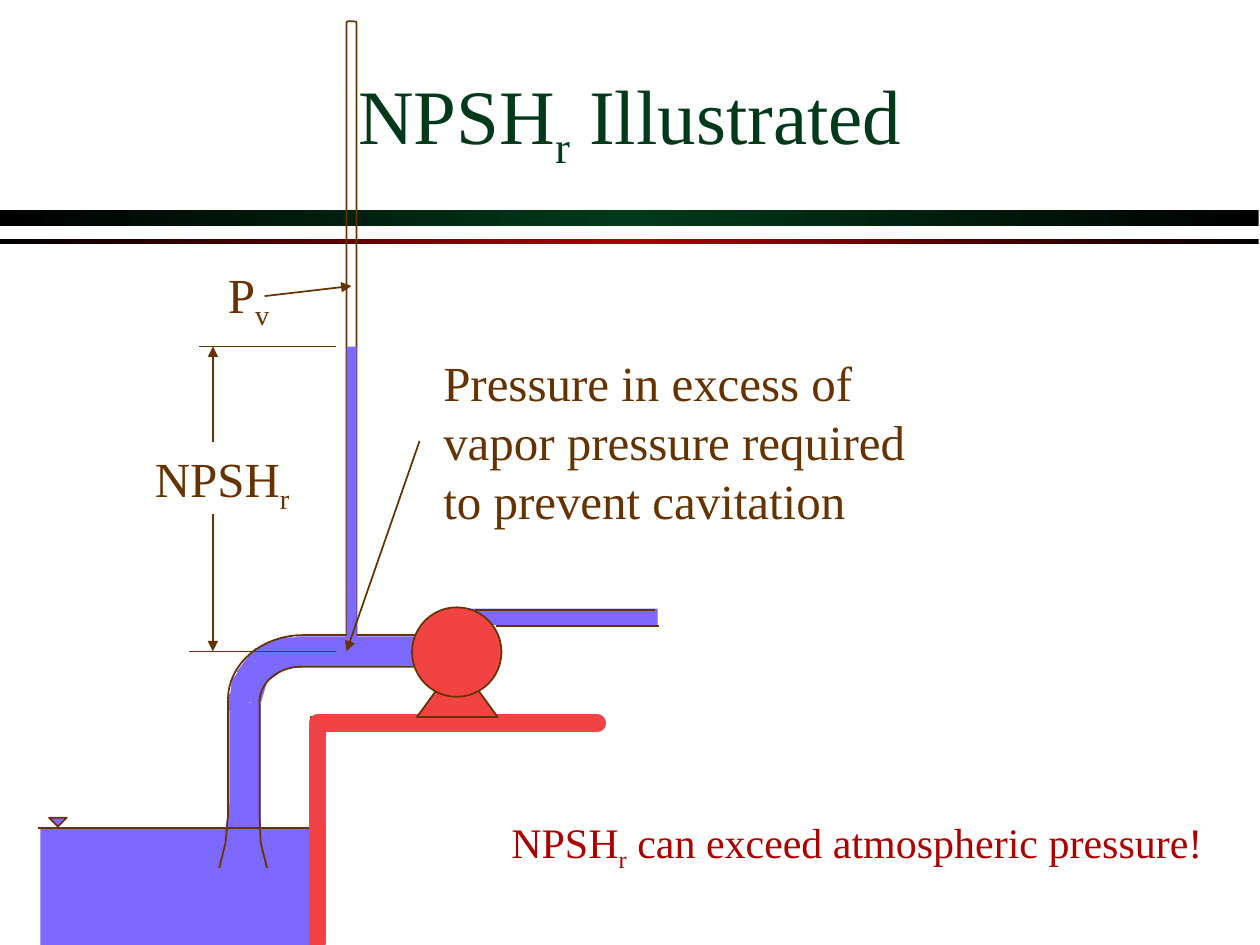
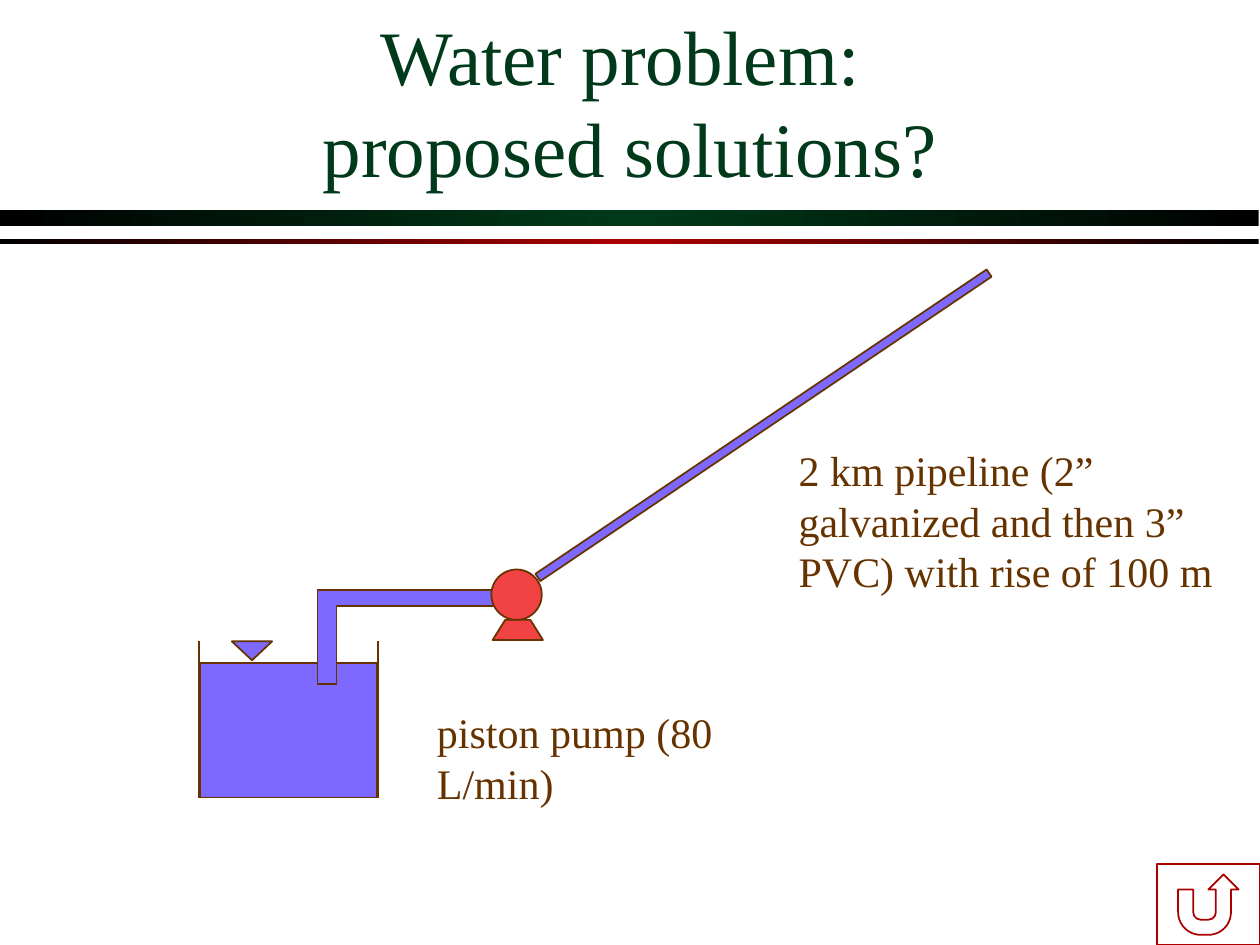
from dataclasses import dataclass
from math import cos, pi, sin

from lxml.etree import SubElement
from pptx import Presentation
from pptx.dml.color import RGBColor
from pptx.enum.shapes import MSO_CONNECTOR, MSO_SHAPE
from pptx.enum.text import MSO_ANCHOR, PP_ALIGN
from pptx.oxml.ns import qn
from pptx.util import Inches, Pt


@dataclass(frozen=True)
class Theme:
    font: str = "Times New Roman"
    black: str = "000000"
    white: str = "FFFFFF"
    green: str = "003A1A"
    red: str = "AC0000"
    brown: str = "663300"
    water: str = "7E69FF"
    pump: str = "F14343"
    title: int = 44
    label: int = 28
    note: int = 24
    thin: float = 1
    floor: float = 10


THEME = Theme()

# Shared content: boxes are left, top, width, height in inches
TITLE_BOX = (0.75, 0.33, 8.5, 1.25)
BANDS = [((0, 1.67, 9.99, 0.12), THEME.green), ((0, 1.9, 9.99, 0.04), THEME.red)]

# Suction diagram; text between tildes is subscript
NPSH_TITLE = "NPSH~r~ Illustrated"
VAPOR_TUBE = (2.75, 0.17, 0.08, 5)
WATER_COLUMN = (2.75, 2.75, 0.08, 2.42)
WATER_BOXES = [
    (1.81, 5.51, 0.16, 0.13),
    (0.32, 6.57, 2.16, 0.96),
    (1.82, 5.58, 0.25, 1),
    (2.35, 5.05, 0.99, 0.25),
    (3.69, 4.83, 1.53, 0.13),
]
WATER_PATCHES = [
    [(1.97, 5.24), (1.98, 5.34), (2.07, 5.58), (2.12, 5.41), (2.11, 5.1), (2.01, 5.16)],
    [(2.35, 5.06), (2.26, 5.06), (2.26, 5.32), (2.33, 5.3), (2.4, 5.28)],
    [(1.82, 6.38), (2.07, 6.57), (1.79, 6.57)],
    [(1.81, 5.57), (2.06, 5.58), (1.89, 5.33), (1.84, 5.4), (1.83, 5.49)],
    [(1.88, 5.33), (2.06, 5.58), (2.03, 5.14), (1.94, 5.25)],
    [(2.07, 5.13), (2.09, 5.43), (2.18, 5.37), (2.26, 5.31), (2.26, 5.05), (2.18, 5.08)],
]
INTAKE_WALLS = [
    [(2.12, 6.89), (2.07, 6.69), (2.06, 6.47), (2.06, 5.55)],
    [(1.74, 6.89), (1.79, 6.69), (1.81, 6.47), (1.81, 5.55)],
]
ELBOW_ARCS = [(2.4, 5.57, 0.34, 0.28), (2.41, 5.55, 0.6, 0.51)]  # centre, radii
FLOOR_EDGE = [(2.47, 7.51), (2.47, 5.69), (4.76, 5.69)]
FLOOR_SLAB = [(2.52, 7.48), (2.52, 5.74), (4.74, 5.74)]
SURFACE_LINE = ((0.3, 6.57), (2.5, 6.57))
PIPE_WALLS = [((2.4, 5.04), (3.41, 5.04)), ((2.38, 5.29), (3.4, 5.29))]
OUTLET_WALLS = [((3.77, 4.84), (5.2, 4.84)), ((3.94, 4.97), (5.23, 4.97))]
NPSH_LABELS = [
    ("P~v~", (1.71, 2.05, 0.55, 0.57), {"wrap": False}),
    ("Pressure in excess of vapor pressure required to prevent cavitation",
     (3.42, 2.75, 4.1, 1.5), {}),
    ("NPSH~r~", (1.13, 3.51, 1.29, 0.57), {"wrap": False, "fill": THEME.white}),
    ("NPSH~r~ can exceed atmospheric pressure!", (3.96, 6.43, 5.7, 0.5),
     {"wrap": False, "size": THEME.note, "color": THEME.red}),
]
# Start, end, arrowheads (head sits at the start, tail at the end)
NPSH_POINTERS = [
    ((3.33, 3.5), (2.75, 5.17), ("tail",)),
    ((2.67, 2.75), (1.58, 2.75), ()),
    ((2.67, 5.17), (1.5, 5.17), ()),
    ((1.69, 5.17), (1.69, 2.75), ("head", "tail")),
    ((2.1, 2.35), (2.79, 2.27), ("tail",)),
]

# Water supply diagram
WATER_TITLE = "Water problem: \nproposed solutions?"
TANK_WALLS = [
    ((1.58, 5.09), (1.58, 6.33)),
    ((1.59, 6.33), (2.99, 6.33)),
    ((3, 5.09), (3, 6.33)),
]
TANK_WATER = (1.59, 5.26, 1.4, 1.07)
RISING_PIPE = (3.9, 3.34, 4.32, 0.07)
SUCTION_PIPE = [(3.91, 4.68), (2.52, 4.68), (2.52, 5.43),
                (2.67, 5.43), (2.67, 4.81), (3.91, 4.81)]
WATER_LABELS = [
    ("piston pump (80 L/min)", (3.37, 5.56, 3, 0.9)),
    ("2 km pipeline (2” galvanized and then 3” PVC) with rise of 100 m",
     (6.24, 3.48, 3.56, 1.3)),
]
RETURN_BUTTON = (9.18, 6.86, 0.82, 0.64)


def color_of(value):
    return RGBColor.from_string(value)


def paint(shape, fill=None, line=None, width=THEME.thin):
    shape.shadow.inherit = False
    if fill:
        shape.fill.solid()
        shape.fill.fore_color.rgb = color_of(fill)
    else:
        shape.fill.background()
    if line:
        shape.line.color.rgb = color_of(line)
        shape.line.width = Pt(width)
    else:
        shape.line.fill.background()
    return shape


def add_preset(page, kind, box, **look):
    return paint(page.shapes.add_shape(kind, *map(Inches, box)), **look)


def add_outline(page, points, close=False, **look):
    start, *rest = [(Inches(x), Inches(y)) for x, y in points]
    builder = page.shapes.build_freeform(*start)
    builder.add_line_segments(rest, close=close)
    return paint(builder.convert_to_shape(), **look)


def add_line(page, start, end, arrows=()):
    line = page.shapes.add_connector(MSO_CONNECTOR.STRAIGHT, *map(Inches, start + end))
    line.line.color.rgb = color_of(THEME.brown)
    line.line.width = Pt(THEME.thin)
    stroke = line.line._get_or_add_ln()
    for place in arrows:
        SubElement(stroke, qn(f"a:{place}End"), type="triangle")
    SubElement(line._element.spPr, qn("a:effectLst"))


def add_text_shadow(span):
    effects = SubElement(span.font._element, qn("a:effectLst")) if hasattr(
        span.font, "_element") else SubElement(span._r.get_or_add_rPr(), qn("a:effectLst"))
    shadow = SubElement(effects, qn("a:outerShdw"), dist=str(Pt(2)), dir="2700000")
    SubElement(shadow, qn("a:srgbClr"), val=THEME.black)


def add_text(page, text, box, size=THEME.label, color=THEME.brown, fill=None,
             wrap=True, anchor=MSO_ANCHOR.TOP, align=PP_ALIGN.LEFT, shadow=False):
    shape = page.shapes.add_textbox(*map(Inches, box))
    if fill:
        paint(shape, fill=fill)
    frame = shape.text_frame
    frame.word_wrap = wrap
    frame.vertical_anchor = anchor
    para = frame.paragraphs[0]
    para.alignment = align
    para.font.size = Pt(size)
    for row, line in enumerate(text.split("\n")):
        if row:
            para.add_line_break()
        for index, piece in enumerate(line.split("~")):
            if not piece:
                continue
            span = para.add_run()
            span.text = piece
            span.font.size = Pt(size)
            span.font.color.rgb = color_of(color)
            if index % 2:
                span._r.get_or_add_rPr().set("baseline", "-25000")
            if shadow:
                add_text_shadow(span)
            span.font.name = THEME.font


def add_title(page, text, anchor):
    add_text(page, text, TITLE_BOX, size=THEME.title, color=THEME.green,
             anchor=anchor, align=PP_ALIGN.CENTER, shadow=True)


def add_page(deck):
    page = deck.slides.add_slide(deck.slide_layouts[6])
    for box, middle in BANDS:
        band = add_preset(page, MSO_SHAPE.RECTANGLE, box)
        band.fill.gradient()
        band.fill.gradient_angle = 0
        stops = band._element.spPr.find(qn("a:gradFill")).find(qn("a:gsLst"))
        for stop in list(stops):
            stops.remove(stop)
        for position, value in ((0, THEME.black), (50000, middle), (100000, THEME.black)):
            stop = SubElement(stops, qn("a:gs"), pos=str(position))
            SubElement(stop, qn("a:srgbClr"), val=value)
    return page


def add_pump(page, wheel, foot, inset):
    look = {"fill": THEME.pump, "line": THEME.brown}
    left, top, width, height = foot
    right, bottom = left + width, top + height
    add_outline(page, [(left, bottom), (left + inset, top),
                       (right - inset, top), (right, bottom)], close=True, **look)
    add_preset(page, MSO_SHAPE.OVAL, wheel, **look)


def add_level_mark(page, box):
    mark = add_preset(page, MSO_SHAPE.ISOSCELES_TRIANGLE, box,
                      fill=THEME.water, line=THEME.brown)
    mark.rotation = 180


def quarter_arc(center_x, center_y, radius_x, radius_y, steps=16):
    angles = [pi / 2 * step / steps for step in range(steps + 1)]
    return [(center_x - radius_x * cos(angle), center_y - radius_y * sin(angle))
            for angle in angles]


def build_npsh_page(deck):
    page = add_page(deck)
    tube = add_preset(page, MSO_SHAPE.ROUNDED_RECTANGLE, VAPOR_TUBE, line=THEME.brown)
    tube.adjustments[0] = 0.17
    add_title(page, NPSH_TITLE, MSO_ANCHOR.MIDDLE)

    # Water in the sump, pipe and elbow
    for patch in WATER_PATCHES:
        add_outline(page, patch, close=True, fill=THEME.water)
    for box in WATER_BOXES:
        add_preset(page, MSO_SHAPE.RECTANGLE, box, fill=THEME.water)

    # Floor, water surface and pipe walls
    add_line(page, *SURFACE_LINE)
    add_outline(page, FLOOR_EDGE, line=THEME.brown)
    slab = add_outline(page, FLOOR_SLAB, line=THEME.pump, width=THEME.floor)
    stroke = slab.line._get_or_add_ln()
    stroke.set("cap", "rnd")
    SubElement(stroke, qn("a:round"))
    add_level_mark(page, (0.39, 6.49, 0.14, 0.07))
    for wall in INTAKE_WALLS + [quarter_arc(*arc) for arc in ELBOW_ARCS]:
        add_outline(page, wall, line=THEME.brown)
    for wall in PIPE_WALLS:
        add_line(page, *wall)
    add_pump(page, (3.27, 4.82, 0.71, 0.71), (3.31, 5.47, 0.64, 0.22), 0.16)
    for wall in OUTLET_WALLS:
        add_line(page, *wall)
    add_preset(page, MSO_SHAPE.RECTANGLE, WATER_COLUMN, fill=THEME.water)

    # Dimension lines and labels
    for pointer in NPSH_POINTERS:
        add_line(page, *pointer)
    for text, box, look in NPSH_LABELS:
        add_text(page, text, box, **look)


def build_water_page(deck):
    page = add_page(deck)
    add_title(page, WATER_TITLE, MSO_ANCHOR.BOTTOM)
    filled = {"fill": THEME.water, "line": THEME.brown}

    # Tank
    for wall in TANK_WALLS:
        add_line(page, *wall)
    add_level_mark(page, (1.84, 5.09, 0.32, 0.15))
    add_preset(page, MSO_SHAPE.RECTANGLE, TANK_WATER, **filled)

    # Pipes and pump
    rising = add_preset(page, MSO_SHAPE.RECTANGLE, RISING_PIPE, **filled)
    rising.rotation = 326
    add_outline(page, SUCTION_PIPE, close=True, **filled)
    add_pump(page, (3.9, 4.52, 0.4, 0.4), (3.91, 4.92, 0.4, 0.16), 0.1)

    for text, box in WATER_LABELS:
        add_text(page, text, box, size=THEME.note)
    add_preset(page, MSO_SHAPE.ACTION_BUTTON_RETURN, RETURN_BUTTON, line=THEME.red)


def main():
    deck = Presentation()
    deck.slide_width, deck.slide_height = Inches(10), Inches(7.5)
    build_npsh_page(deck)
    build_water_page(deck)
    deck.save("out.pptx")


if __name__ == "__main__":
    main()
